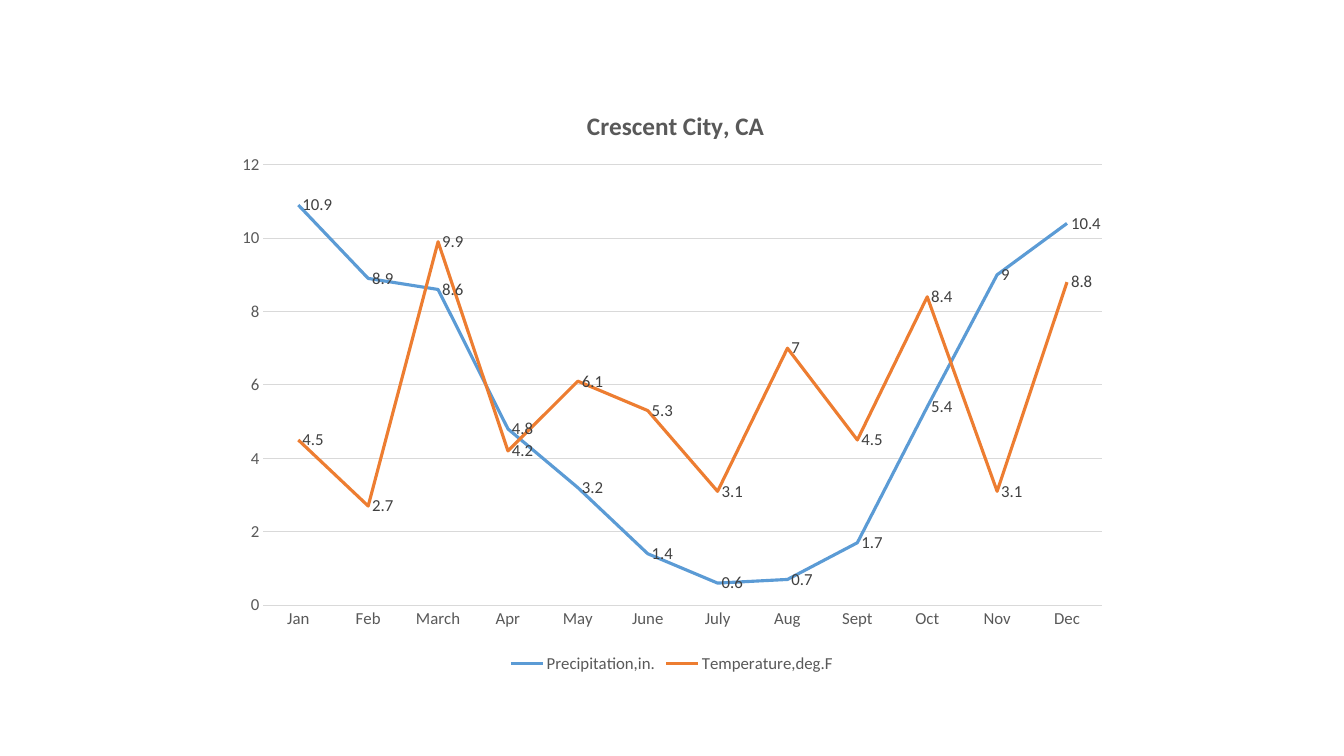
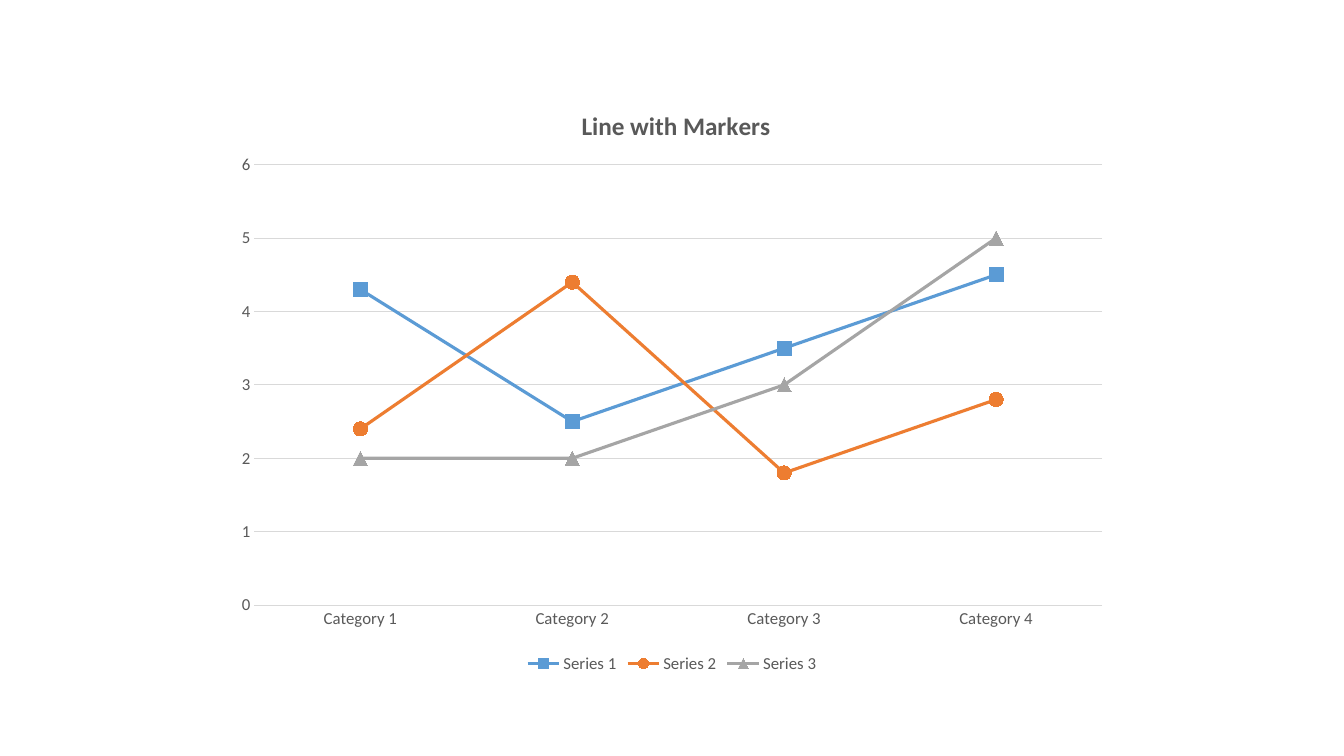
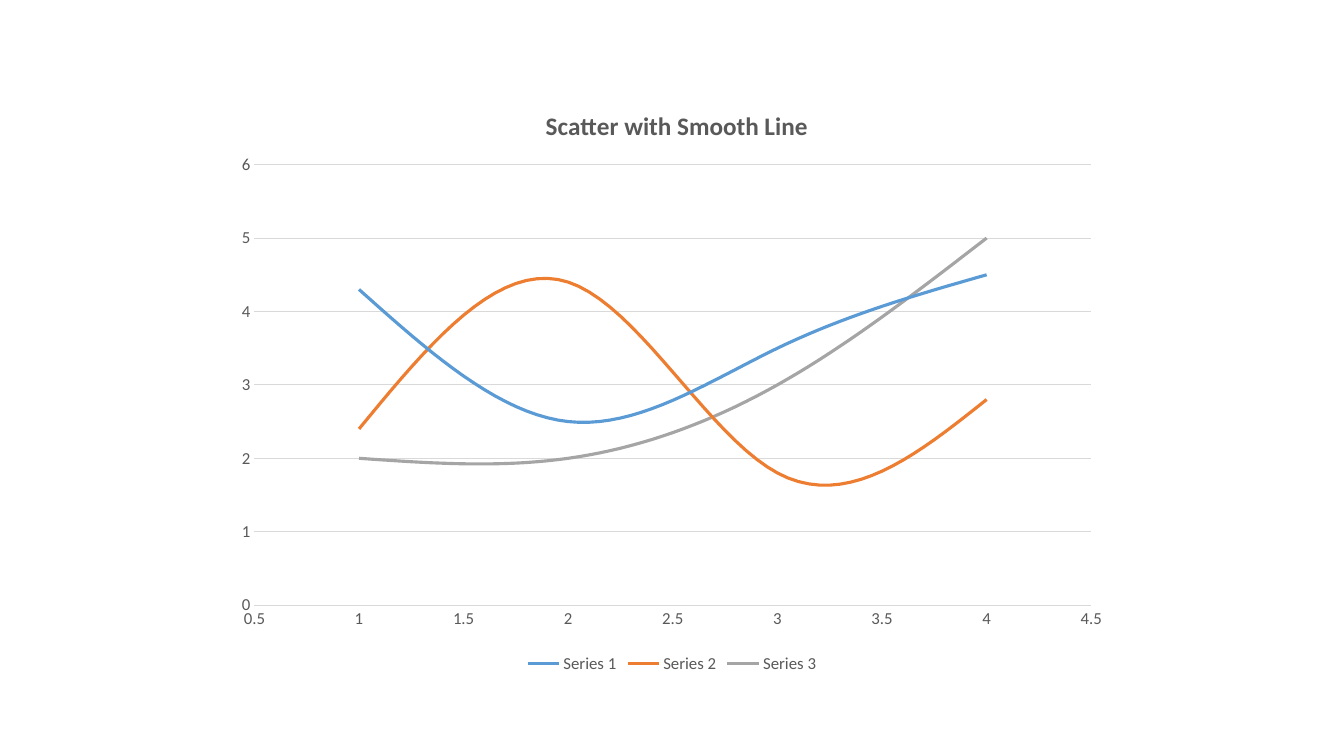
from pptx import Presentation
from pptx.chart.data import CategoryChartData, XyChartData
from pptx.dml.color import RGBColor
from pptx.enum.chart import (XL_CHART_TYPE, XL_LABEL_POSITION,
                             XL_LEGEND_POSITION, XL_MARKER_STYLE,
                             XL_TICK_MARK)
from pptx.oxml.ns import qn
from pptx.util import Pt

BLUE = RGBColor(0x5B, 0x9B, 0xD5)
ORANGE = RGBColor(0xED, 0x7D, 0x31)
GRAY = RGBColor(0xA5, 0xA5, 0xA5)
TEXT = RGBColor(0x59, 0x59, 0x59)
LABEL = RGBColor(0x40, 0x40, 0x40)
GRID = RGBColor(0xD9, 0xD9, 0xD9)
COLORS = (BLUE, ORANGE, GRAY)
MARKERS = (XL_MARKER_STYLE.SQUARE, XL_MARKER_STYLE.CIRCLE,
           XL_MARKER_STYLE.TRIANGLE)

MONTHS = ("Jan", "Feb", "March", "Apr", "May", "June",
          "July", "Aug", "Sept", "Oct", "Nov", "Dec")
CLIMATE = {
    "Precipitation,in.": (10.9, 8.9, 8.6, 4.8, 3.2, 1.4,
                          0.6, 0.7, 1.7, 5.4, 9, 10.4),
    "Temperature,deg.F": (4.5, 2.7, 9.9, 4.2, 6.1, 5.3,
                          3.1, 7, 4.5, 8.4, 3.1, 8.8),
}
SAMPLE = {
    "Series 1": (4.3, 2.5, 3.5, 4.5),
    "Series 2": (2.4, 4.4, 1.8, 2.8),
    "Series 3": (2, 2, 3, 5),
}


def cat_data(cats, table):
    data = CategoryChartData()
    data.categories = cats
    for name, vals in table.items():
        data.add_series(name, vals)
    return data


def xy_data(table):
    """Number the points of each series 1, 2, 3 and so on along x."""
    data = XyChartData()
    for name, vals in table.items():
        series = data.add_series(name)
        for x, y in enumerate(vals, 1):
            series.add_data_point(x, y)
    return data


def place(part, index, **spots):
    """Fix a chart part at fractions of the chart's width and height."""
    for old in part.findall(qn("c:layout")):
        part.remove(old)
    layout = part.makeelement(qn("c:layout"), {})
    part.insert(index, layout)
    manual = layout.makeelement(qn("c:manualLayout"), {})
    layout.append(manual)
    items = {"xMode": "edge", "yMode": "edge", **spots}
    if "w" in spots:
        items = {"layoutTarget": "inner", **items}
    for tag, val in items.items():
        manual.append(manual.makeelement(qn("c:" + tag), {"val": str(val)}))


class Deck:
    """Holds the shared chart style and the current slide."""

    def __init__(self):
        self.prs = Presentation()
        self.prs.slide_width, self.prs.slide_height = Pt(960), Pt(540)
        self.slide = None

    def new(self):
        self.slide = self.prs.slides.add_slide(self.prs.slide_layouts[6])

    def font(self, font, size=12, color=TEXT, bold=False):
        font.name, font.size, font.bold = "Calibri", Pt(size), bold
        font.color.rgb = color

    def chart(self, kind, data, title, title_x, left, width, top, step):
        """Add a line or scatter chart; left and width frame its plot."""
        frame = self.slide.shapes.add_chart(
            kind, Pt(160), Pt(57), Pt(640), Pt(427), data)
        chart = frame.chart
        self.font(chart.font)
        self.title(chart, title, title_x)
        self.axes(chart, top, step)
        chart.has_legend = True
        chart.legend.position = XL_LEGEND_POSITION.BOTTOM
        chart.legend.include_in_layout = False
        self.font(chart.legend.font)
        plot = chart.plots[0]
        plot.vary_by_categories = False
        for series, color in zip(plot.series, COLORS):
            series.format.line.color.rgb = color
            series.format.line.width = Pt(2.25)
        area = chart.element.find(".//" + qn("c:plotArea"))
        place(area, 0, x=left, y=0.142, w=width, h=0.737)
        return chart

    def title(self, chart, text, x):
        chart.has_title = True
        para = chart.chart_title.text_frame.paragraphs[0]
        para.text = text
        self.font(para.font, 18, bold=True)
        place(chart.element.find(".//" + qn("c:title")), 1, x=x, y=0.04)

    def axes(self, chart, top, step):
        base, side = chart.category_axis, chart.value_axis
        for axis in (base, side):
            axis.major_tick_mark = axis.minor_tick_mark = XL_TICK_MARK.NONE
            self.font(axis.tick_labels.font)
        base.has_major_gridlines = False
        side.has_major_gridlines = True
        for line in (base.format.line, side.major_gridlines.format.line):
            line.color.rgb, line.width = GRID, Pt(0.75)
        side.format.line.fill.background()
        side.minimum_scale, side.maximum_scale = 0, top
        side.major_unit = step

    def labels(self, chart):
        for series in chart.plots[0].series:
            labels = series.data_labels
            labels.show_value = True
            labels.position = XL_LABEL_POSITION.RIGHT
            self.font(labels.font, color=LABEL)

    def markers(self, chart):
        for series, style, color in zip(chart.plots[0].series,
                                        MARKERS, COLORS):
            mark = series.marker
            mark.style, mark.size = style, 10
            mark.format.fill.solid()
            mark.format.fill.fore_color.rgb = color
            mark.format.line.color.rgb = color

    def smooth(self, chart, on):
        for node in chart.element.iter(qn("c:smooth")):
            node.set("val", str(int(on)))


def main():
    deck = Deck()

    deck.new()
    chart = deck.chart(XL_CHART_TYPE.LINE, cat_data(MONTHS, CLIMATE),
                       "Crescent City, CA", 0.4, 0.044, 0.936, 12, 2)
    deck.smooth(chart, False)
    deck.labels(chart)

    deck.new()
    cats = [f"Category {n}" for n in range(1, 5)]
    chart = deck.chart(XL_CHART_TYPE.LINE_MARKERS, cat_data(cats, SAMPLE),
                       "Line with Markers", 0.394, 0.034, 0.946, 6, 1)
    deck.smooth(chart, False)
    deck.markers(chart)

    deck.new()
    chart = deck.chart(XL_CHART_TYPE.XY_SCATTER_SMOOTH_NO_MARKERS,
                       xy_data(SAMPLE), "Scatter with Smooth Line",
                       0.354, 0.034, 0.934, 6, 1)
    deck.smooth(chart, True)
    base = chart.category_axis
    base.minimum_scale, base.maximum_scale = 0.5, 4.5
    base.major_unit = 0.5

    deck.prs.save("out.pptx")


if __name__ == "__main__":
    main()
